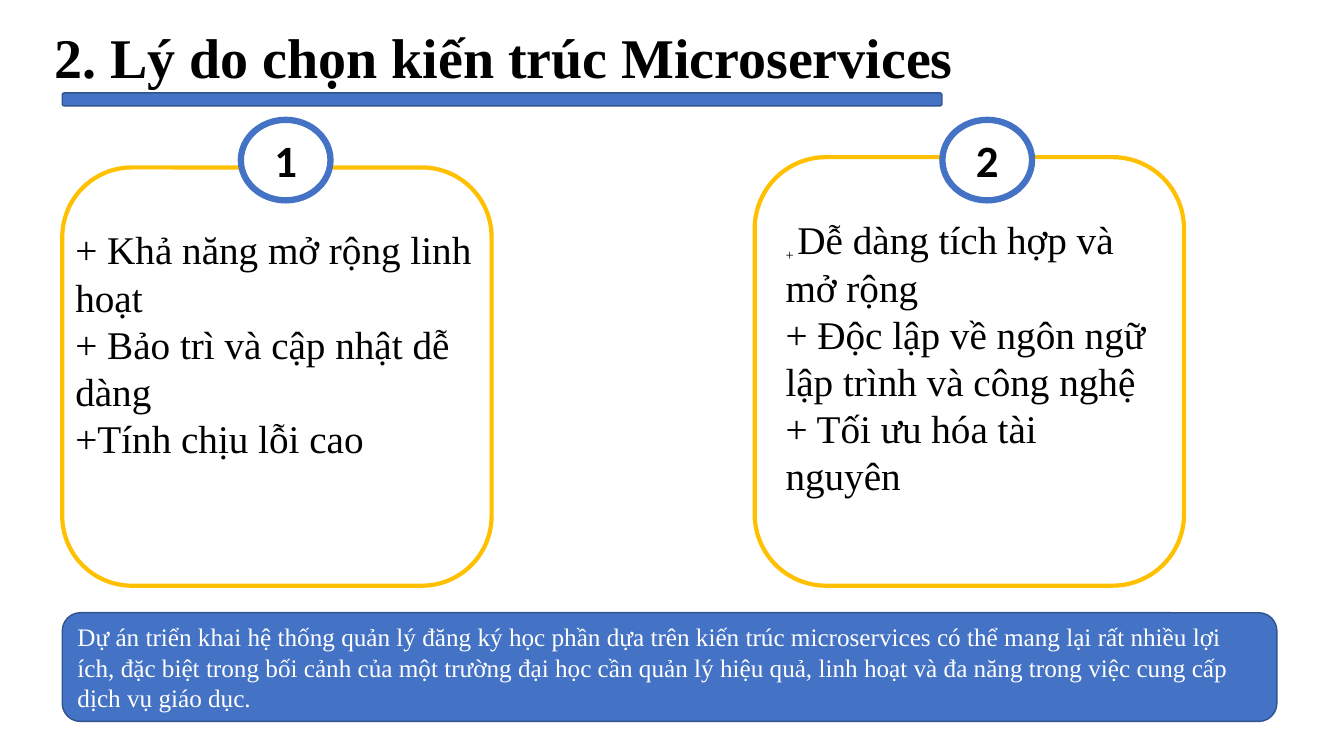
from dataclasses import dataclass

import pptx
import pptx.dml.color
import pptx.enum.shapes
import pptx.enum.text
import pptx.shapes.autoshape
import pptx.text.text
import pptx.util

Cm = pptx.util.Cm
Pt = pptx.util.Pt
RGB = pptx.dml.color.RGBColor.from_string
Preset = pptx.enum.shapes.MSO_SHAPE
Anchor = pptx.enum.text.MSO_ANCHOR
Align = pptx.enum.text.PP_ALIGN


@dataclass(frozen=True)
class Theme:
    serif: str = "Times New Roman"
    sans: str = "Calibri"
    black: str = "000000"
    white: str = "FFFFFF"
    blue: str = "4472C4"
    navy: str = "31538F"
    gold: str = "FFC000"
    title_size: int = 40
    badge_size: int = 32
    reason_size: int = 28
    note_size: int = 18


@dataclass(frozen=True)
class Box:
    left: float
    top: float
    width: float
    height: float

    def lengths(self) -> tuple:
        return Cm(self.left), Cm(self.top), Cm(self.width), Cm(self.height)


@dataclass(frozen=True)
class Card:
    number: str
    left: float
    top: float
    badge_left: float


THEME = Theme()
MARGIN = 1.57
CARD_WIDTH = 10.82
CARD_BOTTOM = 14.76
INSET = 0.33
CARDS = [Card("2", 19.02, 3.96, 23.75), Card("1", MARGIN, 4.22, 6.07)]
SCALING_REASONS = [
    "+ Khả năng mở rộng linh hoạt",
    "+ Bảo trì và cập nhật dễ dàng",
    "+Tính chịu lỗi cao",
]
INTEGRATION_REASONS = [
    "Dễ dàng tích hợp và mở rộng",
    "+ Độc lập về ngôn ngữ lập trình và công nghệ",
    "+ Tối ưu hóa tài nguyên",
]
CONCLUSION = (
    "Dự án triển khai hệ thống quản lý đăng ký học phần dựa trên kiến trúc "
    "microservices có thể mang lại rất nhiều lợi ích, đặc biệt trong bối cảnh của "
    "một trường đại học cần quản lý hiệu quả, linh hoạt và đa năng trong việc cung "
    "cấp dịch vụ giáo dục."
)


def add_panel(slide, preset, box: Box, fill: str, line: str,
              line_width: float) -> pptx.shapes.autoshape.Shape:
    panel = slide.shapes.add_shape(preset, *box.lengths())
    panel.shadow.inherit = False
    panel.fill.solid()
    panel.fill.fore_color.rgb = RGB(fill)
    panel.line.color.rgb = RGB(line)
    panel.line.width = Pt(line_width)
    return panel


def write(frame: pptx.text.text.TextFrame, lines: list[str], size: int,
          color: str = THEME.black, font: str = THEME.serif, bold: bool = False,
          align=Align.LEFT, anchor=Anchor.MIDDLE) -> None:
    frame.word_wrap = True
    frame.auto_size = pptx.enum.text.MSO_AUTO_SIZE.NONE
    frame.vertical_anchor = anchor
    for index, line in enumerate(lines):
        paragraph = frame.paragraphs[0] if index == 0 else frame.add_paragraph()
        paragraph.add_run().text = line
        paragraph.alignment = align
        paragraph.font.name = font
        paragraph.font.size = Pt(size)
        paragraph.font.bold = bold
        paragraph.font.color.rgb = RGB(color)


def set_insets(frame: pptx.text.text.TextFrame, inset: float) -> None:
    frame.margin_left = frame.margin_right = Cm(inset)
    frame.margin_top = frame.margin_bottom = Cm(inset)


def add_subscript_plus(paragraph) -> None:
    """Put a small lowered plus before the paragraph's only run."""
    plus = paragraph.add_run()
    plus.text = "+ "
    plus.font.size = Pt(THEME.note_size)
    plus.font._element.set("baseline", "-25000")
    paragraph.runs[0]._r.addprevious(plus._r)


def main() -> None:
    deck = pptx.Presentation()
    deck.slide_width, deck.slide_height = Cm(33.87), Cm(19.05)
    slide = deck.slides.add_slide(deck.slide_layouts[5])

    # Title and the bar under it
    title = slide.shapes.title
    title.left, title.top, title.width, title.height = Box(1.04, 0.71, 23.47, 1.63).lengths()
    set_insets(title.text_frame, INSET)
    write(title.text_frame, ["2. Lý do chọn kiến trúc Microservices"],
          THEME.title_size, bold=True)
    title.text_frame.paragraphs[0].line_spacing = 0.9
    add_panel(slide, Preset.ROUNDED_RECTANGLE, Box(MARGIN, 2.34, 22.17, 0.33),
              THEME.blue, THEME.navy, 1)

    # Cards with numbered badges
    panels = {}
    for card in CARDS:
        outline = Box(card.left, card.top, CARD_WIDTH, CARD_BOTTOM - card.top)
        panels[card.number] = add_panel(slide, Preset.ROUNDED_RECTANGLE, outline,
                                        THEME.white, THEME.gold, 3)
        badge = add_panel(slide, Preset.OVAL, Box(card.badge_left, 3.02, 2.26, 2.03),
                          THEME.white, THEME.blue, 4.5)
        write(badge.text_frame, [card.number], THEME.badge_size, font=THEME.sans,
              bold=True, align=Align.CENTER)

    # Reasons
    scaling = slide.shapes.add_textbox(*Box(MARGIN, 5.36, CARD_WIDTH, 9.32).lengths())
    set_insets(scaling.text_frame, INSET)
    write(scaling.text_frame, SCALING_REASONS, THEME.reason_size, anchor=Anchor.TOP)
    integration = panels["2"].text_frame
    write(integration, INTEGRATION_REASONS, THEME.reason_size)
    integration.margin_bottom = Cm(0.86)
    add_subscript_plus(integration.paragraphs[0])

    # Conclusion
    conclusion = add_panel(slide, Preset.ROUNDED_RECTANGLE, Box(MARGIN, 15.44, 30.61, 2.74),
                           THEME.blue, THEME.navy, 1)
    write(conclusion.text_frame, [CONCLUSION], THEME.note_size, THEME.white)

    deck.save("out.pptx")


if __name__ == "__main__":
    main()
